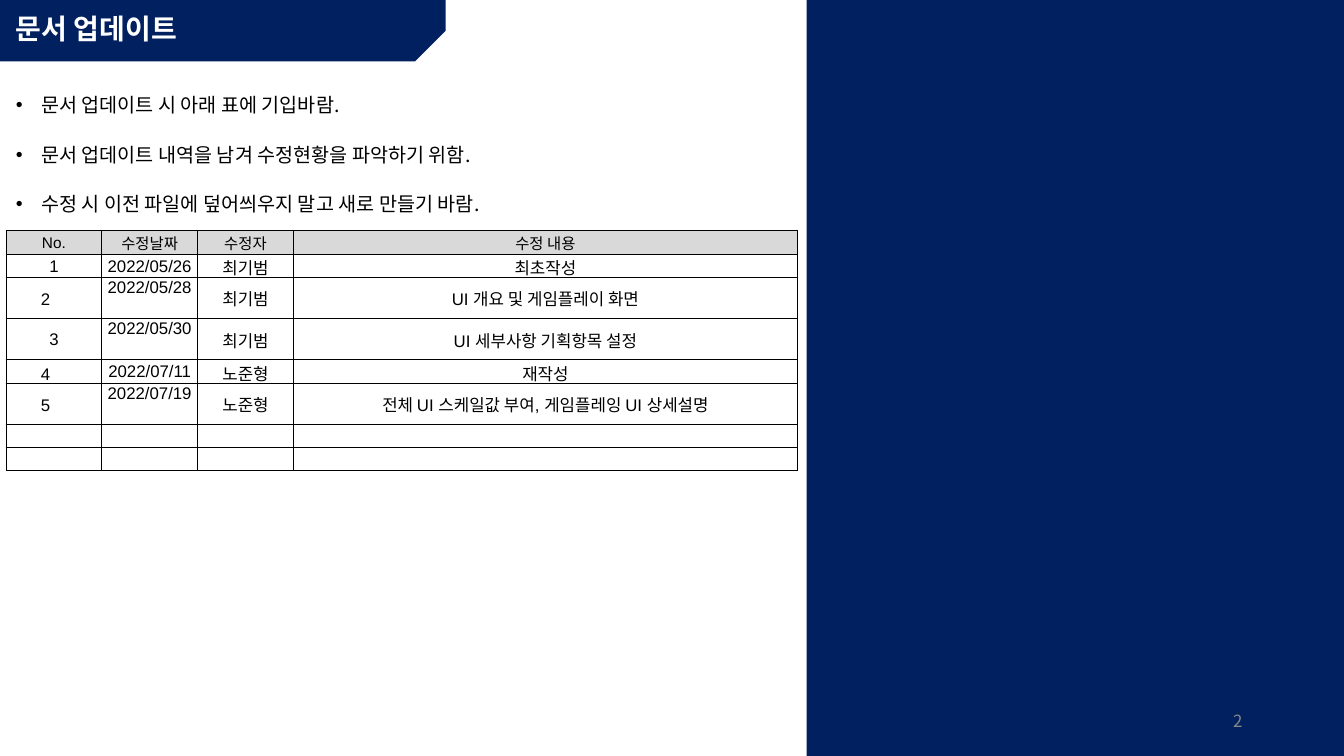
from lxml.etree import SubElement
from pptx import Presentation
from pptx.dml.color import RGBColor
from pptx.enum.shapes import MSO_SHAPE
from pptx.enum.text import MSO_ANCHOR, PP_ALIGN
from pptx.oxml.ns import qn
from pptx.util import Inches, Pt

NAVY = RGBColor(0x00, 0x20, 0x60)
WHITE = RGBColor(0xFF, 0xFF, 0xFF)
BLACK = RGBColor(0x00, 0x00, 0x00)
GREY = RGBColor(0x88, 0x88, 0x88)
SILVER = RGBColor(0xD9, 0xD9, 0xD9)

NOTES = [
    "문서 업데이트 시 아래 표에 기입바람.",
    "문서 업데이트 내역을 남겨 수정현황을 파악하기 위함.",
    "수정 시 이전 파일에 덮어씌우지 말고 새로 만들기 바람.",
]
ROWS = [
    ["No.", "수정날짜", "수정자", "수정 내용"],
    ["1", "2022/05/26", "최기범", "최초작성"],
    ["2　", "2022/05/28　", "최기범", "UI 개요 및 게임플레이 화면"],
    ["3", "2022/05/30　", "최기범", "UI 세부사항 기획항목 설정"],
    ["4　", "2022/07/11", "노준형", "재작성"],
    ["5　", "2022/07/19　", "노준형", "전체 UI 스케일값 부여, 게임플레잉 UI 상세설명"],
    [""] * 4,
    [""] * 4,
]
WIDTHS = [0.95, 0.95, 0.95, 5]


class Deck:
    """Draws styled elements on the current slide."""

    font = "Noto Sans CJK KR"
    grid = "Arial"

    def __init__(self):
        self.show = Presentation()
        self.show.slide_width = Inches(13.33)
        self.show.slide_height = Inches(7.5)
        self.slide = self.show.slides.add_slide(self.show.slide_layouts[6])

    def block(self, kind, *box):
        shape = self.slide.shapes.add_shape(kind, *map(Inches, box))
        shape.shadow.inherit = False
        shape.fill.solid()
        shape.fill.fore_color.rgb = NAVY
        shape.line.fill.background()
        return shape

    def style(self, para, size, color, name=None, bold=False):
        font = para.font
        font.name = name or self.font
        font.size = Pt(size)
        font.bold = bold
        font.color.rgb = color

    def text(self, box, lines, size, color, bold=False, align=PP_ALIGN.LEFT,
             space=1.0, anchor=MSO_ANCHOR.MIDDLE, dots=False):
        frame = self.slide.shapes.add_textbox(*map(Inches, box)).text_frame
        frame.word_wrap = True
        frame.vertical_anchor = anchor
        for i, line in enumerate(lines):
            para = frame.add_paragraph() if i else frame.paragraphs[0]
            para.text = line
            para.alignment = align
            para.line_spacing = space
            if i:
                para.space_before = Pt(10)
            if dots:
                self.bullet(para)
            self.style(para, size, color, bold=bold)

    def bullet(self, para):
        props = para._p.get_or_add_pPr()
        props.set("marL", str(Inches(0.25)))
        props.set("indent", str(-Inches(0.25)))
        tint = SubElement(props, qn("a:buClr"))
        SubElement(tint, qn("a:srgbClr"), val=str(BLACK))
        SubElement(props, qn("a:buFont"), typeface="Arial")
        SubElement(props, qn("a:buChar"), char="•")

    def border(self, cell):
        props = cell._tc.get_or_add_tcPr()
        for side in ("lnL", "lnR", "lnT", "lnB"):
            line = SubElement(props, qn(f"a:{side}"), w=str(Pt(0.75)))
            fill = SubElement(line, qn("a:solidFill"))
            SubElement(fill, qn("a:srgbClr"), val=str(BLACK))

    def table(self, left, top, widths, height, rows):
        frame = self.slide.shapes.add_table(
            len(rows), len(widths), Inches(left), Inches(top),
            Inches(sum(widths)), Inches(height * len(rows)))
        table = frame.table
        for col, width in zip(table.columns, widths):
            col.width = Inches(width)
        for r, row in enumerate(rows):
            table.rows[r].height = Inches(height)
            for c, text in enumerate(row):
                self.cell(table.cell(r, c), text, r == 0)

    def cell(self, cell, text, head):
        cell.margin_left = cell.margin_right = cell.margin_top = Inches(0.01)
        cell.margin_bottom = 0
        cell.vertical_anchor = MSO_ANCHOR.MIDDLE
        self.border(cell)
        if head:
            cell.fill.solid()
            cell.fill.fore_color.rgb = SILVER
        else:
            cell.fill.background()
        para = cell.text_frame.paragraphs[0]
        para.text = text
        para.alignment = PP_ALIGN.CENTER
        self.style(para, 11 if head else 12, BLACK, self.grid)


def main():
    deck = Deck()
    deck.block(MSO_SHAPE.RECTANGLE, 8, 0, 5.33, 7.5)
    banner = deck.block(MSO_SHAPE.SNIP_1_RECTANGLE, 0, 0, 4.42, 0.61)
    banner.adjustments[0] = 0.5
    banner.rotation = 180
    banner._element.spPr.xfrm.set("flipH", "1")
    deck.text((9.42, 6.95, 3, 0.4), ["2"], 12, GREY, align=PP_ALIGN.RIGHT)
    deck.text((0.06, 0.07, 4.03, 0.46), ["문서 업데이트"], 20, WHITE,
              bold=True, space=0.9)
    deck.table(0.06, 2.29, WIDTHS, 0.23, ROWS)
    deck.text((0.06, 0.76, 5.39, 1.53), NOTES, 14, BLACK, space=1.5,
              anchor=MSO_ANCHOR.TOP, dots=True)
    deck.show.save("out.pptx")


if __name__ == "__main__":
    main()
